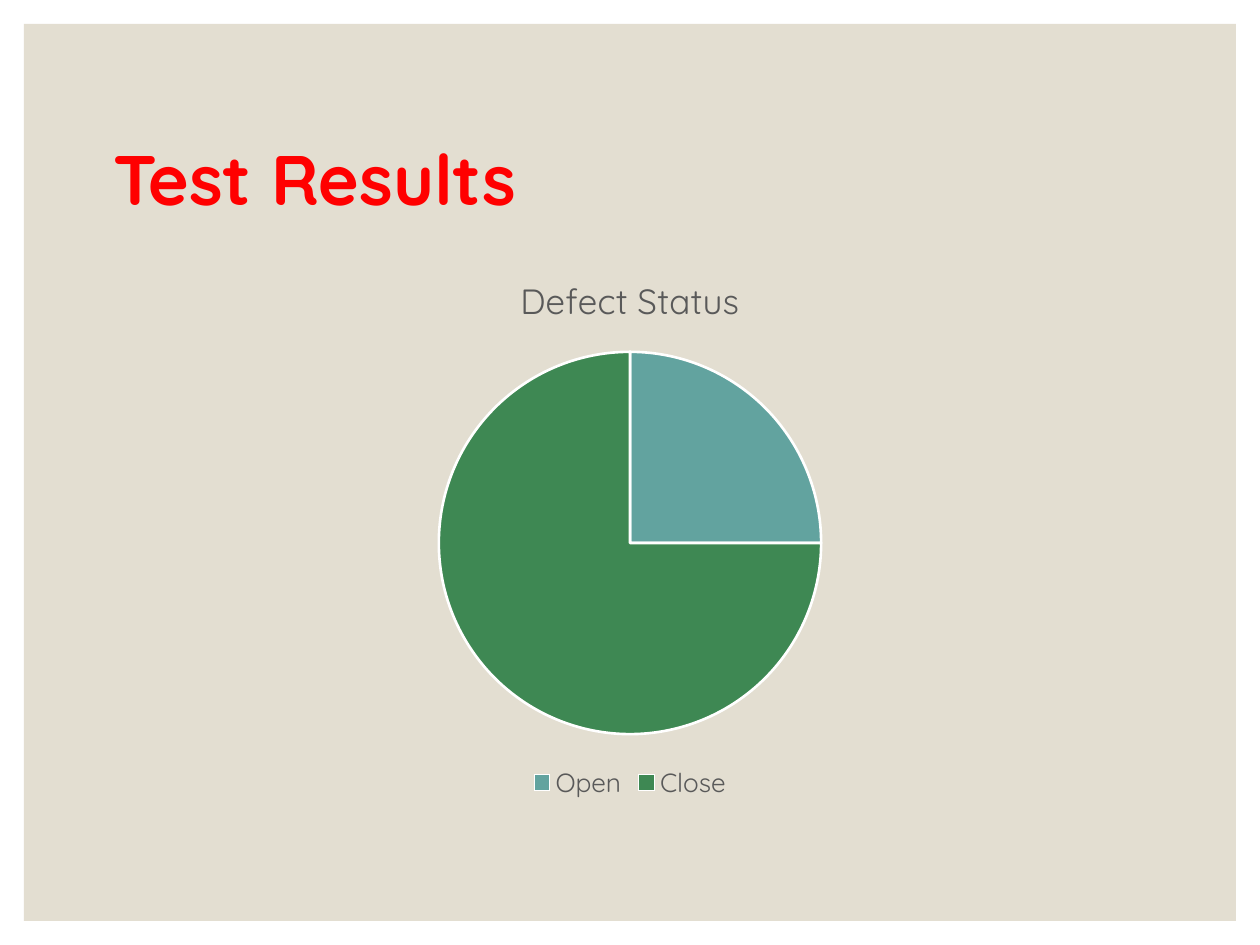
from pptx import Presentation
from pptx.chart.data import CategoryChartData
from pptx.dml.color import RGBColor
from pptx.enum.chart import XL_CHART_TYPE as CT, XL_LEGEND_POSITION as LP
from pptx.enum.shapes import MSO_SHAPE as SHAPE
from pptx.enum.text import MSO_ANCHOR as ANCHOR
from pptx.util import Emu, Pt

SCALE = 914400 / 126
FONT = "Quicksand"
COLORS = {
    "panel": "E3DED1",
    "title": "FF0000",
    "label": "595959",
    "border": "FFFFFF",
    "open": "62A39F",
    "close": "3E8853",
}


def px(*lengths):
    return [Emu(round(n * SCALE)) for n in lengths]


def rgb(name):
    return RGBColor.from_string(COLORS[name])


def set_font(font, size, color, bold=False):
    font.name, font.size, font.bold = FONT, Pt(size), bold
    font.color.rgb = rgb(color)


def write(tf, text, size, color, bold=False, spacing=None):
    p = tf.paragraphs[0]
    p.line_spacing = spacing
    r = p.add_run()
    r.text = text
    set_font(r.font, size, color, bold)


class SlideBuilder:
    """Adds styled elements to the current slide."""

    def __init__(self, prs):
        self.s = prs.slides.add_slide(prs.slide_layouts[6])

    def panel(self, *box, color):
        sp = self.s.shapes.add_shape(SHAPE.RECTANGLE, *px(*box))
        sp.shadow.inherit = False
        sp.fill.solid()
        sp.fill.fore_color.rgb = rgb(color)
        sp.line.fill.background()

    def text(self, text, *box, **fmt):
        tf = self.s.shapes.add_textbox(*px(*box)).text_frame
        tf.word_wrap = True
        tf.vertical_anchor = ANCHOR.MIDDLE
        write(tf, text, **fmt)

    def pie(self, title, slices, *box):
        data = CategoryChartData()
        data.categories = [name for name, _, _ in slices]
        data.add_series("Series 1", [value for _, value, _ in slices])
        chart = self.s.shapes.add_chart(CT.PIE, *px(*box), data).chart
        set_font(chart.font, 10, "label")
        write(chart.chart_title.text_frame, title, size=20, color="label")
        chart.chart_title.include_in_layout = False
        chart.has_legend = True
        chart.legend.position = LP.BOTTOM
        chart.legend.include_in_layout = False
        set_font(chart.legend.font, 15, "label")
        plot = chart.plots[0]
        plot.vary_by_categories = True
        for i, (_, _, color) in enumerate(slices):
            fmt = plot.series[0].points[i].format
            fmt.fill.solid()
            fmt.fill.fore_color.rgb = rgb(color)
            fmt.line.color.rgb = rgb("border")
            fmt.line.width = Pt(1.5)


def main():
    prs = Presentation()
    prs.slide_width, prs.slide_height = px(1260, 945)
    slide = SlideBuilder(prs)
    slide.panel(24, 24, 1212, 897, color="panel")
    slide.text("Test Results", 101, 88, 1058, 189,
               size=40, color="title", bold=True, spacing=0.9)
    slide.pie("Defect Status", [("Open", 25, "open"), ("Close", 75, "close")],
              169, 251, 922, 553)
    prs.save("out.pptx")


if __name__ == "__main__":
    main()
